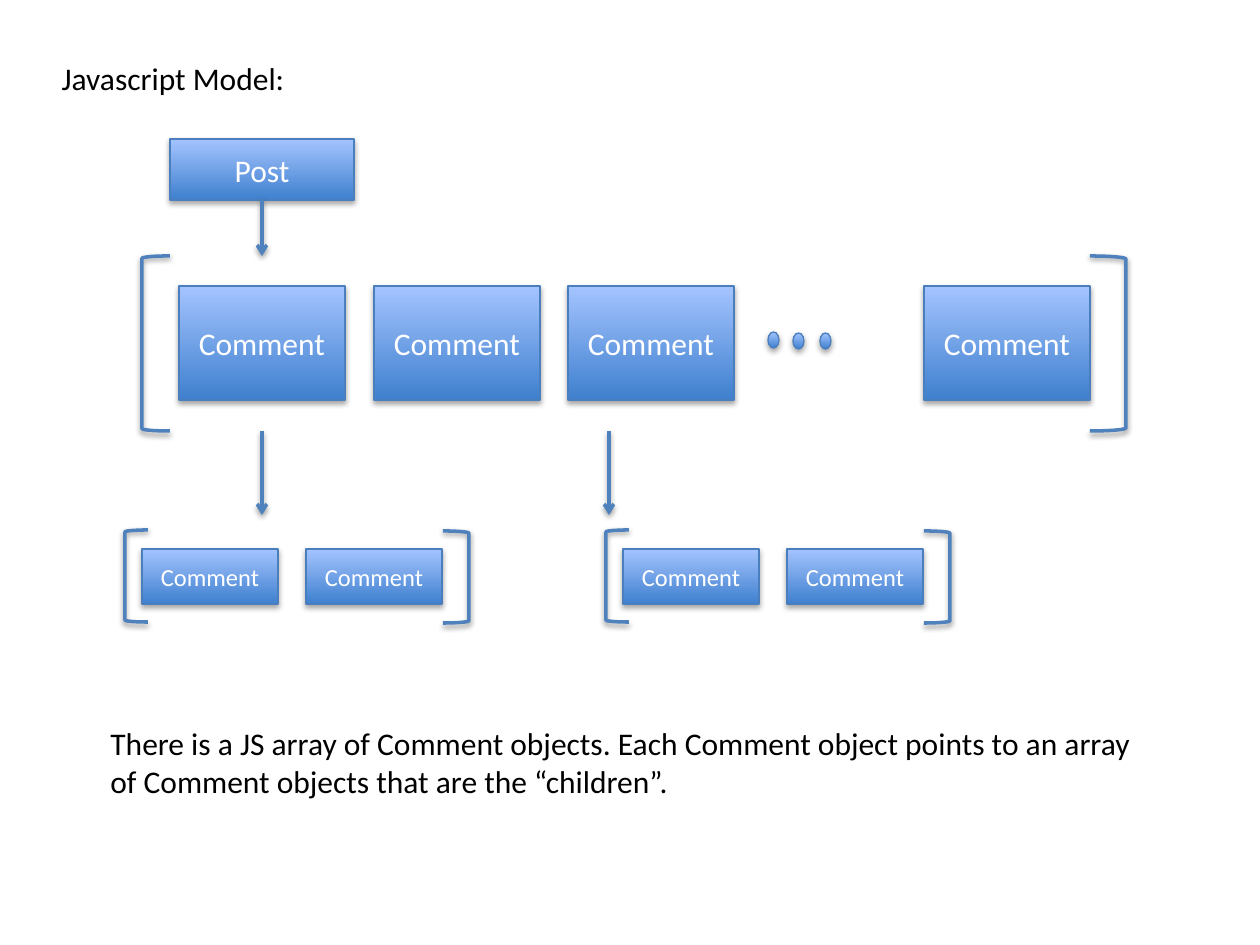
from pptx import Presentation
from pptx.dml.color import RGBColor
from pptx.enum.shapes import MSO_CONNECTOR, MSO_SHAPE
from pptx.enum.text import MSO_ANCHOR, MSO_AUTO_SIZE, PP_ALIGN
from pptx.oxml import parse_xml
from pptx.oxml.ns import nsdecls
from pptx.util import Emu, Pt

SCALE = 914400 / 126
HUES = {"low": "3F80CE", "high": "A4C4FF", "edge": "4B7EBC", "line": "4F81BD",
        "white": "FFFFFF", "black": "000000"}


def px(num):
    """Turn pixels into EMU."""
    return Emu(round(num * SCALE))


def hue(name):
    """Look up a colour by name."""
    return RGBColor.from_string(HUES[name])


def shade(item, dist, alpha):
    """Give a shape or line a soft shadow below it."""
    item._element.spPr.append(parse_xml(
        f'<a:effectLst {nsdecls("a")}><a:outerShdw blurRad="40000" dist="{dist}" '
        f'dir="5400000" rotWithShape="0"><a:srgbClr val="{HUES["black"]}">'
        f'<a:alpha val="{alpha}000"/></a:srgbClr></a:outerShdw></a:effectLst>'))


def stroke(item, name, width):
    """Set the colour and width of an outline."""
    item.line.color.rgb = hue(name)
    item.line.width = Pt(width)


def write(frame, lines, size, name, align):
    """Fill a text frame, one paragraph a line."""
    for i, text in enumerate(lines):
        para = frame.paragraphs[0] if i == 0 else frame.add_paragraph()
        para.alignment = align
        run = para.add_run()
        run.text = text
        run.font.name = "Calibri"
        run.font.size = Pt(size)
        run.font.color.rgb = hue(name)


def solid(slide, kind, *area):
    """Add a shape with a blue gradient."""
    item = slide.shapes.add_shape(kind, *map(px, area))
    item.fill.gradient()
    item.fill.gradient_angle = 90
    for stop, name in zip(item.fill.gradient_stops, ("low", "high")):
        stop.color.rgb = hue(name)
    stroke(item, "edge", 0.75)
    shade(item, 23000, 35)
    return item


def box(slide, text, size, *area):
    """Add a labelled box."""
    frame = solid(slide, MSO_SHAPE.RECTANGLE, *area).text_frame
    frame.vertical_anchor = MSO_ANCHOR.MIDDLE
    write(frame, [text], size, "white", PP_ALIGN.CENTER)


def brace(slide, flip, *area):
    """Add a square bracket, mirrored on request."""
    item = slide.shapes.add_shape(MSO_SHAPE.LEFT_BRACKET, *map(px, area))
    item.fill.background()
    stroke(item, "line", 2)
    shade(item, 20000, 38)
    if flip:
        item._element.spPr.xfrm.set("flipH", "1")


def arrow(slide, x, top, end):
    """Add an arrow that points down."""
    item = slide.shapes.add_connector(
        MSO_CONNECTOR.STRAIGHT, px(x), px(top), px(x), px(end))
    stroke(item, "line", 2)
    item.line._get_or_add_ln().append(
        parse_xml(f'<a:tailEnd {nsdecls("a")} type="arrow"/>'))
    shade(item, 20000, 38)


def title(slide, text):
    """Place and fill the title."""
    item = slide.shapes.title
    item.left, item.top, item.width, item.height = map(px, (49, 53, 252, 50))
    frame = item.text_frame
    frame.word_wrap = False
    frame.auto_size = MSO_AUTO_SIZE.NONE
    frame.vertical_anchor = MSO_ANCHOR.TOP
    write(frame, [text], 18, "black", PP_ALIGN.LEFT)


def note(slide, lines, *area):
    """Add a plain text box."""
    frame = slide.shapes.add_textbox(*map(px, area)).text_frame
    frame.word_wrap = False
    frame.auto_size = MSO_AUTO_SIZE.SHAPE_TO_FIT_TEXT
    write(frame, lines, 18, "black", PP_ALIGN.LEFT)


def child(slide, x):
    """Add a bracketed pair of child comments."""
    brace(slide, False, x, 530, 23, 92)
    for step in (17, 181):
        box(slide, "Comment", 14, x + step, 549, 136, 55)
    brace(slide, True, x + 318, 531, 26, 92)


def main():
    """Build the slide and save it."""
    deck = Presentation()
    deck.slide_width, deck.slide_height = px(1260), px(945)
    slide = deck.slides.add_slide(deck.slide_layouts[5])
    title(slide, "Javascript Model:")
    box(slide, "Post", 18, 170, 139, 184, 61)
    arrow(slide, 262, 199, 256)
    brace(slide, False, 142, 256, 28, 175)
    brace(slide, True, 1090, 256, 36, 175)
    for x in (179, 374, 568, 924):
        box(slide, "Comment", 18, x, 286, 166, 114)
    for x, y in ((768, 332), (793, 333), (820, 333)):
        solid(slide, MSO_SHAPE.OVAL, x, y, 11, 16)
    for x in (262, 609):
        arrow(slide, x, 431, 515)
    for x in (125, 606):
        child(slide, x)
    note(slide, ["There is a JS array of Comment objects. "
                 "Each Comment object points to an array",
                 "of Comment objects that are the “children”."],
         98, 718, 1060, 89)
    deck.save("out.pptx")


main()
